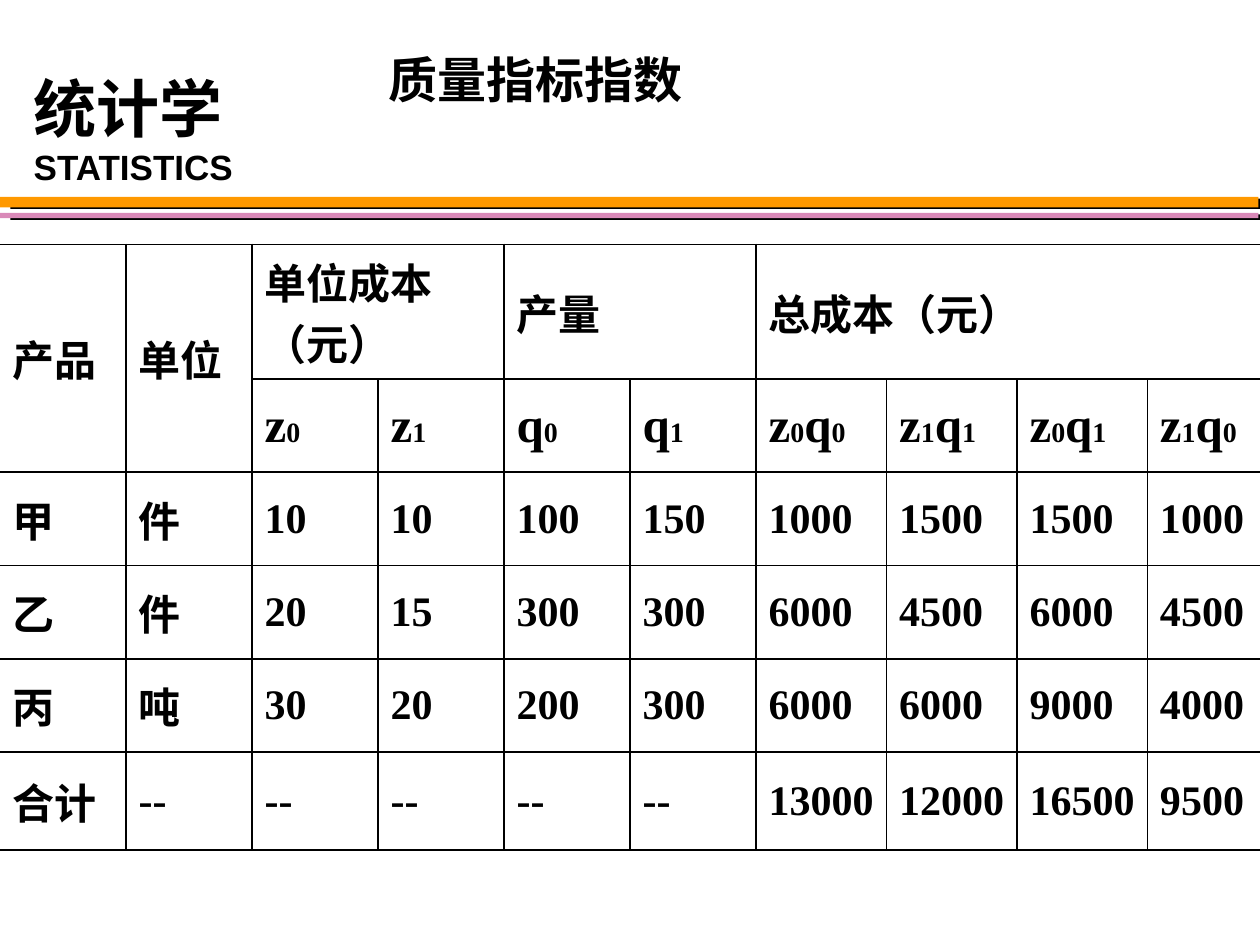
"""Build the statistics slide on quality index numbers."""
from lxml import etree
from pptx import Presentation
from pptx.dml.color import RGBColor
from pptx.enum.shapes import MSO_SHAPE
from pptx.enum.text import MSO_ANCHOR, MSO_AUTO_SIZE, PP_ALIGN
from pptx.oxml.ns import qn
from pptx.util import Cm, Pt

RECTANGLE = MSO_SHAPE.RECTANGLE
MIDDLE = MSO_ANCHOR.MIDDLE
CENTER = PP_ALIGN.CENTER
GROW = MSO_AUTO_SIZE.SHAPE_TO_FIT_TEXT
BLACK = RGBColor(0x00, 0x00, 0x00)
ORANGE = RGBColor(0xFF, 0x99, 0x00)
PINK = RGBColor(0xD9, 0x89, 0xB8)
SERIF, SANS = "Times New Roman", "Arial"

TITLE = "质量指标指数"
COURSE = [("统计学", 36), ("STATISTICS", 20)]
RULES = [(4.29, 0.11, PINK), (3.97, 0.21, ORANGE)]
GROUPS = [("产品", 0, 2, 1), ("单位", 1, 2, 1), ("单位成本（元）", 2, 1, 2),
          ("产量", 4, 1, 2), ("总成本（元）", 6, 1, 4)]
SYMBOLS = ["z0", "z1", "q0", "q1", "z0q0", "z1q1", "z0q1", "z1q0"]
PRODUCTS = [
    ("甲", "件", 10, 10, 100, 150, 1000, 1500, 1500, 1000),
    ("乙", "件", 20, 15, 300, 300, 6000, 4500, 6000, 4500),
    ("丙", "吨", 30, 20, 200, 300, 6000, 6000, 9000, 4000),
    ("合计", "--", "--", "--", "--", "--", 13000, 12000, 16500, 9500),
]
COLUMN_WIDTHS = [2.54] * 6 + [2.63] * 3 + [2.54]
ROW_HEIGHTS = [2.71] + [1.88] * 4 + [1.98]
BORDER_WIDTH = Pt(1.08)


def add_run(paragraph, words, size, font=SERIF):
    run = paragraph.add_run()
    run.text = str(words)
    look = {"name": font, "size": Pt(size), "bold": True}
    for attribute, value in look.items():
        setattr(run.font, attribute, value)
    run.font.color.rgb = BLACK


def add_rule(slide, top, height, color):
    rule = slide.shapes.add_shape(RECTANGLE, 0, Cm(top), Cm(25.37), Cm(height))
    rule.fill.solid()
    rule.fill.fore_color.rgb = color
    rule.line.fill.background()
    rule.shadow.inherit = False
    effects = rule.fill._xPr.find(qn("a:effectLst"))
    shadow = etree.SubElement(effects, qn("a:outerShdw"), blurRad="0",
                              dist=str(Pt(6.1)), dir=str(9 * 60000),
                              algn="ctr", rotWithShape="0")
    etree.SubElement(shadow, qn("a:srgbClr"), val=str(BLACK))


def add_borders(cell, hidden_side):
    properties = cell._tc.get_or_add_tcPr()
    for side in ("lnL", "lnR", "lnT", "lnB"):
        line = etree.SubElement(properties, qn(f"a:{side}"), w=str(BORDER_WIDTH))
        if side == hidden_side:
            etree.SubElement(line, qn("a:noFill"))
        else:
            fill = etree.SubElement(line, qn("a:solidFill"))
            etree.SubElement(fill, qn("a:srgbClr"), val=str(BLACK))


def add_cost_table(slide):
    row_count, column_count = len(ROW_HEIGHTS), len(COLUMN_WIDTHS)
    costs = slide.shapes.add_table(row_count, column_count, 0, Cm(4.93),
                                   Cm(sum(COLUMN_WIDTHS)), Cm(sum(ROW_HEIGHTS))).table
    costs.first_row = costs.horz_banding = False
    for column, width in zip(costs.columns, COLUMN_WIDTHS):
        column.width = Cm(width)
    for row, height in zip(costs.rows, ROW_HEIGHTS):
        row.height = Cm(height)
        for index, cell in enumerate(row.cells):
            add_borders(cell, {0: "lnL", column_count - 1: "lnR"}.get(index))
            cell.fill.background()
            cell.vertical_anchor = MIDDLE
    for heading, column, rows, columns in GROUPS:
        cell = costs.cell(0, column)
        cell.merge(costs.cell(rows - 1, column + columns - 1))
        add_run(cell.text_frame.paragraphs[0], heading, 24)
    for column, symbol in enumerate(SYMBOLS, 2):
        for character in symbol:
            add_run(costs.cell(1, column).text_frame.paragraphs[0], character,
                    16 if character.isdigit() else 28)
    for row, product in enumerate(PRODUCTS, 2):
        for column, value in enumerate(product):
            add_run(costs.cell(row, column).text_frame.paragraphs[0], value, 24)


def main():
    deck = Presentation()
    deck.slide_width, deck.slide_height = Cm(25.4), Cm(19.05)
    slide = deck.slides.add_slide(deck.slide_layouts[6])

    for rule in RULES:
        add_rule(slide, *rule)

    course = slide.shapes.add_textbox(Cm(0.43), Cm(1.28), Cm(4.62), Cm(2.64)).text_frame
    course.word_wrap = False
    course.auto_size = GROW
    for index, (words, size) in enumerate(COURSE):
        paragraph = course.add_paragraph() if index else course.paragraphs[0]
        add_run(paragraph, words, size, SANS)

    title = slide.shapes.add_textbox(0, 0, Cm(21.59), Cm(3.18)).text_frame
    title.word_wrap = True
    title.vertical_anchor = MIDDLE
    title.paragraphs[0].alignment = CENTER
    add_run(title.paragraphs[0], TITLE, 28)

    add_cost_table(slide)
    deck.save("out.pptx")


if __name__ == "__main__":
    main()
